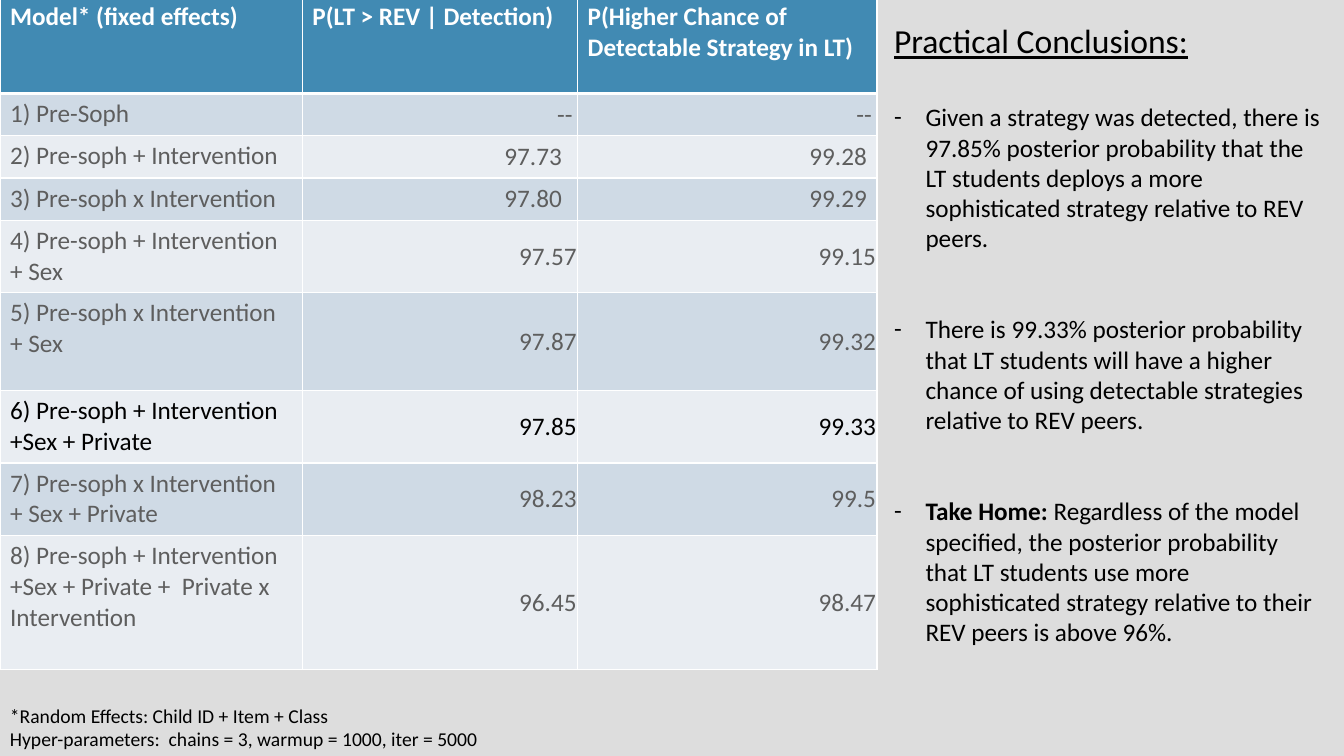
from dataclasses import dataclass

from lxml import etree
from pptx import Presentation
from pptx.dml.color import RGBColor
from pptx.enum.text import MSO_ANCHOR, MSO_AUTO_SIZE, PP_ALIGN
from pptx.oxml.ns import qn
from pptx.util import Pt

LEFT, RIGHT = PP_ALIGN.LEFT, PP_ALIGN.RIGHT
TOP, MIDDLE = MSO_ANCHOR.TOP, MSO_ANCHOR.MIDDLE
FIXED = MSO_AUTO_SIZE.NONE

BLACK = RGBColor(0x00, 0x00, 0x00)
WHITE = RGBColor(0xFF, 0xFF, 0xFF)
GREY = RGBColor(0x5E, 0x5E, 0x5E)
BACK = RGBColor(0xDD, 0xDD, 0xDD)
BLUE = RGBColor(0x41, 0x8A, 0xB3)
BANDS = (RGBColor(0xCF, 0xDA, 0xE5), RGBColor(0xE9, 0xED, 0xF2))

FONT = {"name": "Calibri", "size": Pt(18), "bold": False}
WIDE = (7.2, 3.6)
MID = (3.6, 2.9)
SLIM = (0.7, 0.5)


@dataclass
class Model:
    name: str
    detect: str
    chance: str
    height: float
    pad: tuple[float, float] = SLIM
    color: RGBColor = GREY


HEADS = ("Model* (fixed effects)", "P(LT > REV | Detection)",
         "P(Higher Chance of Detectable Strategy in LT)")
WIDTHS = (216, 196.6, 213.8)
HEAD_H = 69
MODELS = (
    Model("1) Pre-Soph", "--", "--", 30.2, MID),
    Model("2) Pre-soph + Intervention", "97.73 ", "99.28", 30.2, WIDE),
    Model("3) Pre-soph x Intervention", "97.80 ", "99.29", 30.2, WIDE),
    Model("4) Pre-soph + Intervention + Sex", "97.57", "99.15", 51.8),
    Model("5) Pre-soph x Intervention + Sex", "97.87", "99.32", 69.8),
    Model("6) Pre-soph + Intervention +Sex + Private", "97.85", "99.33", 51.8,
          color=BLACK),
    Model("7) Pre-soph x Intervention + Sex + Private", "98.23", "99.5", 51.8),
    Model("8) Pre-soph + Intervention +Sex + Private +  Private x Intervention",
          "96.45", "98.47", 95.8),
)
POINTS = (
    ("", "Given a strategy was detected, there is 97.85% posterior probability "
     "that the LT students deploys a more sophisticated strategy relative to "
     "REV peers."),
    ("", "There is 99.33% posterior probability that LT students will have a "
     "higher chance of using detectable strategies relative to REV peers."),
    ("Take Home: ", "Regardless of the model specified, the posterior "
     "probability that LT students use more sophisticated strategy relative "
     "to their REV peers is above 96%."),
)
NOTES = ("*Random Effects: Child ID + Item + Class",
         "Hyper-parameters:  chains = 3, warmup = 1000, iter = 5000")


def style(font, color: RGBColor, **extra) -> None:
    for key, value in {**FONT, **extra}.items():
        setattr(font, key, value)
    font.color.rgb = color


def place(shape, left: float, top: float, width: float, height: float) -> None:
    box = {"left": left, "top": top, "width": width, "height": height}
    for key, value in box.items():
        setattr(shape, key, Pt(value))
    frame = shape.text_frame
    frame.word_wrap, frame.auto_size = True, FIXED
    frame.vertical_anchor = TOP


def write(para, text: str, color: RGBColor, **extra) -> None:
    run = para.add_run()
    run.text = text
    style(run.font, color, **extra)


def fill_cell(cell, text: str, back: RGBColor, color: RGBColor,
              bold: bool = False) -> None:
    cell.fill.solid()
    cell.fill.fore_color.rgb = back
    write(cell.text_frame.paragraphs[0], text, color, bold=bold)


def edge(cell, sides: dict[str, float]) -> None:
    props = cell._tc.get_or_add_tcPr()
    for spot, (side, width) in enumerate(sides.items()):
        line = etree.Element(qn(f"a:{side}"), w=str(Pt(width)))
        paint = etree.SubElement(line, qn("a:solidFill"))
        etree.SubElement(paint, qn("a:srgbClr"), val=str(WHITE))
        props.insert(spot, line)


def set_value(cell, pad: tuple[float, float]) -> None:
    cell.vertical_anchor = MIDDLE
    cell.text_frame.paragraphs[0].alignment = RIGHT
    cell.margin_left = cell.margin_right = Pt(pad[0])
    cell.margin_top = cell.margin_bottom = Pt(pad[1])


def add_dash(para) -> None:
    props = para._p.get_or_add_pPr()
    props.set("marL", str(Pt(22.5)))
    props.set("indent", str(Pt(-22.5)))
    etree.SubElement(props, qn("a:buFont"), typeface="Calibri")
    etree.SubElement(props, qn("a:buChar"), char="-")


def draw_table(slide) -> None:
    height = HEAD_H + sum(model.height for model in MODELS)
    table = slide.shapes.add_table(len(MODELS) + 1, len(HEADS), 0, Pt(-2.2),
                                   Pt(sum(WIDTHS)), Pt(height)).table
    table.rows[0].height = Pt(HEAD_H)
    for col, (head, width) in enumerate(zip(HEADS, WIDTHS)):
        table.columns[col].width = Pt(width)
        cell = table.cell(0, col)
        fill_cell(cell, head, BLUE, WHITE, True)
        edge(cell, {"lnL": 1, "lnR": 1, "lnT": 1, "lnB": 3})
    for row, model in enumerate(MODELS, 1):
        table.rows[row].height = Pt(model.height)
        texts = (model.name, model.detect, model.chance)
        for col, text in enumerate(texts):
            cell = table.cell(row, col)
            fill_cell(cell, text, BANDS[(row - 1) % 2], model.color)
            if col:
                set_value(cell, model.pad)


def main() -> None:
    deck = Presentation()
    deck.slide_width, deck.slide_height = Pt(960), Pt(540)
    slide = deck.slides.add_slide(deck.slide_layouts[1])
    slide.background.fill.solid()
    slide.background.fill.fore_color.rgb = BACK

    # Model table
    draw_table(slide)

    # Footnote
    note = slide.shapes.add_textbox(0, 0, 0, 0)
    place(note, 0, 499, 590, 41)
    frame = note.text_frame
    for num, text in enumerate(NOTES):
        para = frame.add_paragraph() if num else frame.paragraphs[0]
        write(para, text, BLACK, size=Pt(14))

    # Conclusions heading
    title = slide.shapes.title
    place(title, 631.4, 10.8, 320, 40)
    para = title.text_frame.paragraphs[0]
    para.alignment = LEFT
    write(para, "Practical Conclusions:", BLACK, size=Pt(24), underline=True)

    # Conclusions list
    body = slide.placeholders[1]
    place(body, 631.4, 69, 320, 421)
    frame = body.text_frame
    for num, (lead, text) in enumerate(POINTS):
        para = frame.add_paragraph() if num else frame.paragraphs[0]
        add_dash(para)
        para.space_before = Pt(43.5 if num else 0)
        if lead:
            write(para, lead, BLACK, bold=True)
        write(para, text, BLACK)

    deck.save("out.pptx")


if __name__ == "__main__":
    main()
